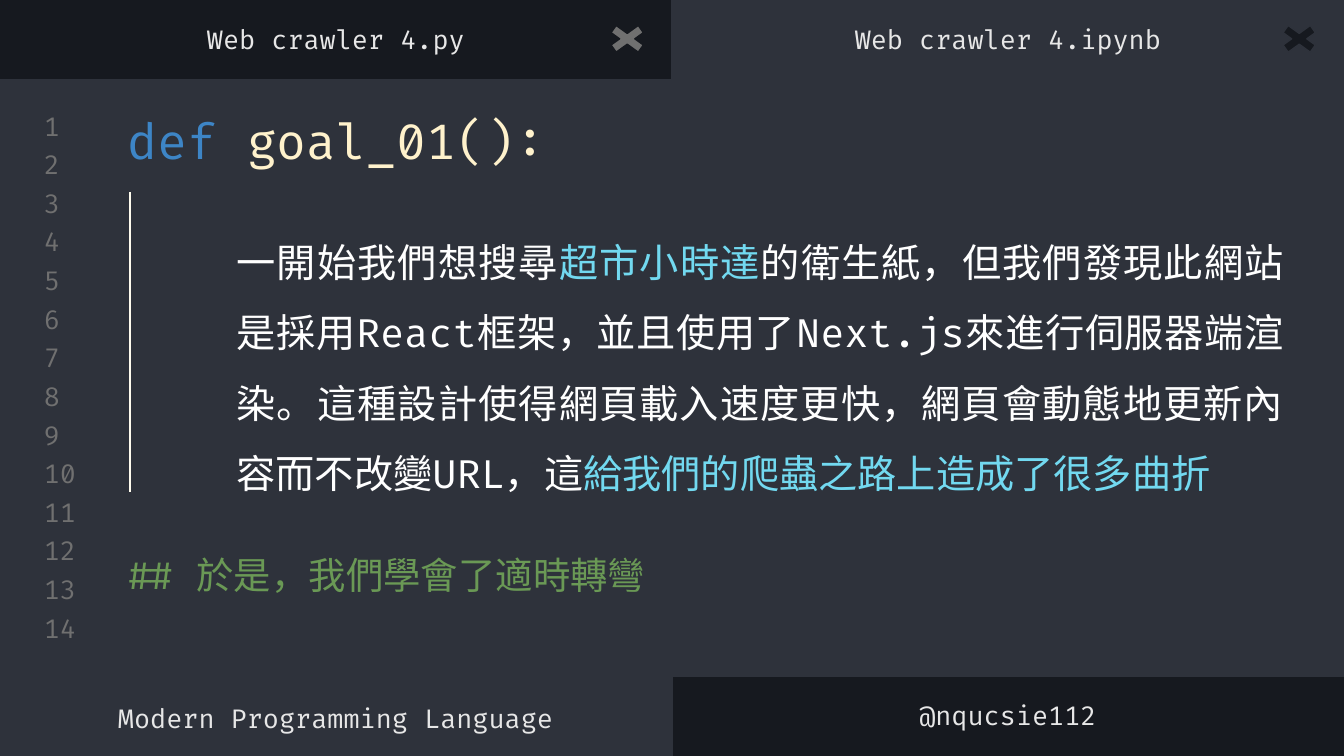
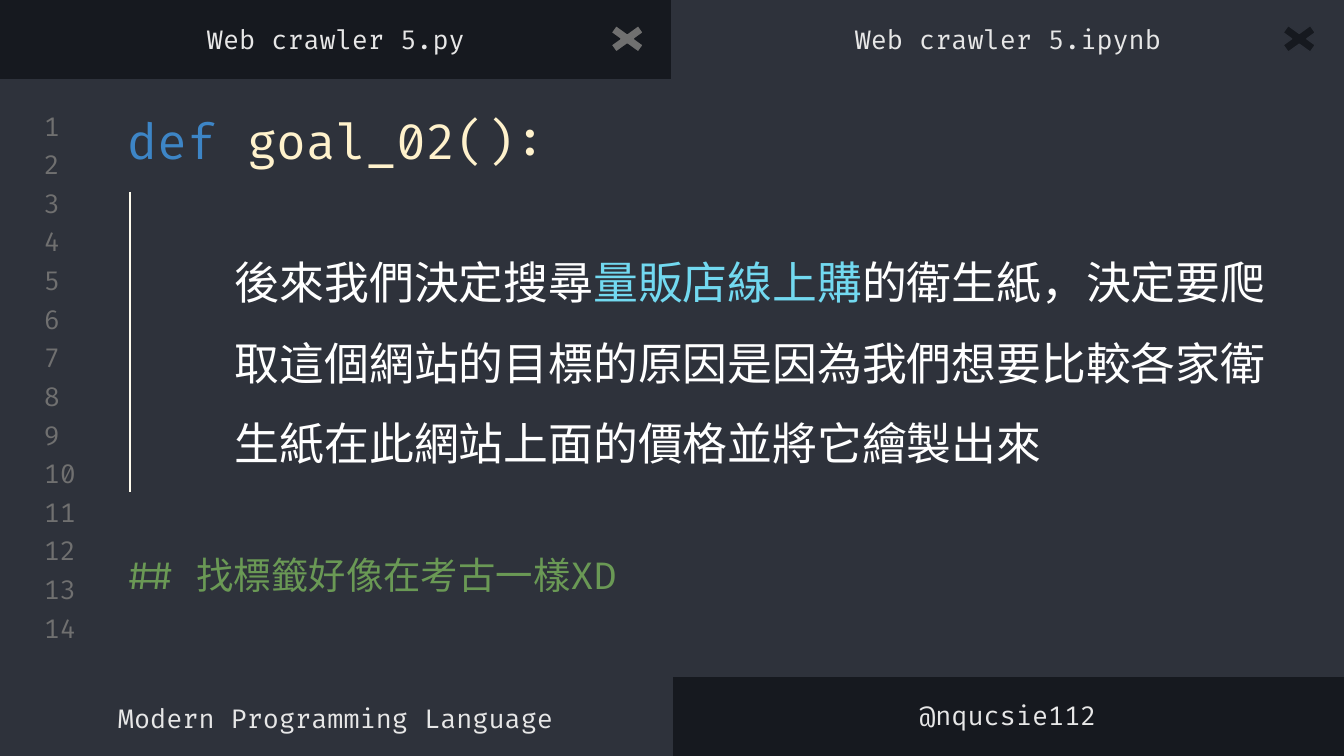
import pptx
import pptx.dml.color
import pptx.enum.shapes
import pptx.enum.text
import pptx.oxml.ns
import pptx.util
from lxml import etree

Cm, Pt = pptx.util.Cm, pptx.util.Pt
SHAPE = pptx.enum.shapes.MSO_SHAPE
ALIGN = pptx.enum.text.PP_ALIGN
ANCHOR = pptx.enum.text.MSO_ANCHOR
qn = pptx.oxml.ns.qn

FONT = "Fira Code"
COLORS = {
    "dark": "16191F", "editor": "2E323B", "gray": "707070", "label": "E7E7E7",
    "keyword": "3D85C6", "function": "FFF2CC", "white": "FFFFFF",
    "accent": "72D9F0", "comment": "6A9955", "rule": "FFFCEE",
}

COURSE = "Modern Programming Language"
HANDLE = "@nqucsie112"
SLIDES = [
    {
        "file": "Web crawler 4",
        "function": "goal_01():",
        "body": [
            ("一開始我們想搜尋", "white"),
            ("超市小時達", "accent"),
            ("的衛生紙，但我們發現此網站是採用React框架，並且使用了Next.js來進行伺服器端渲染。"
             "這種設計使得網頁載入速度更快，網頁會動態地更新內容而不改變URL，這", "white"),
            ("給我們的爬蟲之路上造成了很多曲折", "accent"),
        ],
        "box": (4.22, 3.81, 20.29, 5.33),
        "size": 21,
        "align": ALIGN.JUSTIFY,
        "comment": "## 於是，我們學會了適時轉彎",
    },
    {
        "file": "Web crawler 5",
        "function": "goal_02():",
        "body": [
            ("後來我們決定搜尋", "white"),
            ("量販店線上購", "accent"),
            ("的衛生紙，決定要爬取這個網站的目標的原因是因為我們想要比較各家衛生紙"
             "在此網站上面的價格並將它繪製出來", "white"),
        ],
        "box": (4.19, 4.06, 20.29, 4.72),
        "size": 24,
        "align": ALIGN.LEFT,
        "comment": "## 找標籤好像在考古一樣XD",
    },
]

WIDTH, HEIGHT = 25.4, 14.29
HALF = WIDTH / 2
BAND = 1.65
LABEL_H = 0.99
TAB_Y, FOOTER_Y = 0.25, 13.03
LINES, LINE_TOP, LINE_STEP = 14, 2.07, 0.73


def rgb(name):
    return pptx.dml.color.RGBColor.from_string(COLORS[name])


def cm(box):
    return [Cm(v) for v in box]


def write(sp, runs, size, align=ALIGN.LEFT, anchor=ANCHOR.TOP, spacing=None):
    """Fill a text shape with one paragraph of (text, colour) runs."""
    tf = sp.text_frame
    tf.word_wrap = True
    tf.auto_size = pptx.enum.text.MSO_AUTO_SIZE.NONE
    tf.vertical_anchor = anchor
    tf.margin_left = tf.margin_right = tf.margin_top = tf.margin_bottom = Cm(0.25)
    p = tf.paragraphs[0]
    p.alignment = align
    if spacing:
        p.line_spacing = spacing
    for text, color in runs:
        r = p.add_run()
        r.text = text
        r.font.size = Pt(size)
        r.font.name = FONT
        r.font.color.rgb = rgb(color)
        etree.SubElement(r.font._element, qn("a:ea"), typeface=FONT)


def add_text(shapes, box, runs, size, **style):
    write(shapes.add_textbox(*cm(box)), runs, size, **style)


def add_filled(slide, kind, box, fill, line):
    sp = slide.shapes.add_shape(kind, *cm(box))
    sp.shadow.inherit = False
    sp.fill.solid()
    sp.fill.fore_color.rgb = rgb(fill)
    sp.line.color.rgb = rgb(line)
    sp.line.width = Pt(0.75)
    return sp


def add_editor(slide):
    """Draw the window: background, bands and line numbers."""
    slide.background.fill.solid()
    slide.background.fill.fore_color.rgb = rgb("dark")
    for box in [(0, 1.5, WIDTH, 11.28),
                (HALF, 0, HALF, BAND),
                (0, HEIGHT - BAND, HALF, BAND)]:
        add_filled(slide, SHAPE.RECTANGLE, box, "editor", "editor")
    numbers = slide.shapes.add_group_shape()
    for i in range(LINES):
        add_text(numbers.shapes, (0.58, LINE_TOP + i * LINE_STEP, 1.19, 0.61),
                 [(str(i + 1), "gray")], 14, anchor=ANCHOR.MIDDLE)


def add_labels(slide, file):
    """Write the tab names and footers, and draw the close marks."""
    add_text(slide.shapes, (1.98, FOOTER_Y, 13.51, LABEL_H), [(COURSE, "label")], 14)
    for text, x, y in [(file + ".py", 0, TAB_Y),
                       (file + ".ipynb", HALF, TAB_Y),
                       (HANDLE, HALF, FOOTER_Y)]:
        add_text(slide.shapes, (x, y, HALF, LABEL_H), [(text, "label")], 14,
                 align=ALIGN.CENTER, anchor=ANCHOR.MIDDLE)
    for tab_right, fill, line in [(WIDTH, "dark", "editor"), (HALF, "gray", "dark")]:
        mark = add_filled(slide, SHAPE.MATH_MULTIPLY,
                          (tab_right - 1.34, 0.38, 0.99, 0.71), fill, line)
        mark.adjustments[0] = 0.235


def add_rule(slide):
    line = slide.shapes.add_connector(
        pptx.enum.shapes.MSO_CONNECTOR.STRAIGHT, *cm((2.46, 3.63, 2.46, 9.3)))
    line.line.color.rgb = rgb("rule")
    line.line.width = Pt(0.75)
    etree.SubElement(line._element.spPr, qn("a:effectLst"))


def add_title(slide, function):
    title = slide.shapes.title
    title.left, title.top, title.width, title.height = cm((2.16, 1.85, 9.5, 1.6))
    write(title, [("def ", "keyword"), (function, "function")], 26)
    slide.shapes._spTree.append(title._element)  # bring in front of the bands


def main():
    prs = pptx.Presentation()
    prs.slide_width, prs.slide_height = cm((WIDTH, HEIGHT))
    for content in SLIDES:
        slide = prs.slides.add_slide(prs.slide_layouts[5])
        add_editor(slide)
        add_title(slide, content["function"])
        add_labels(slide, content["file"])
        add_text(slide.shapes, content["box"], content["body"], content["size"],
                 align=content["align"], spacing=1.5)
        add_rule(slide)
        add_text(slide.shapes, (2.16, 10.19, 11.3, 1.6),
                 [(content["comment"], "comment")], 20)
    prs.save("out.pptx")


if __name__ == "__main__":
    main()
